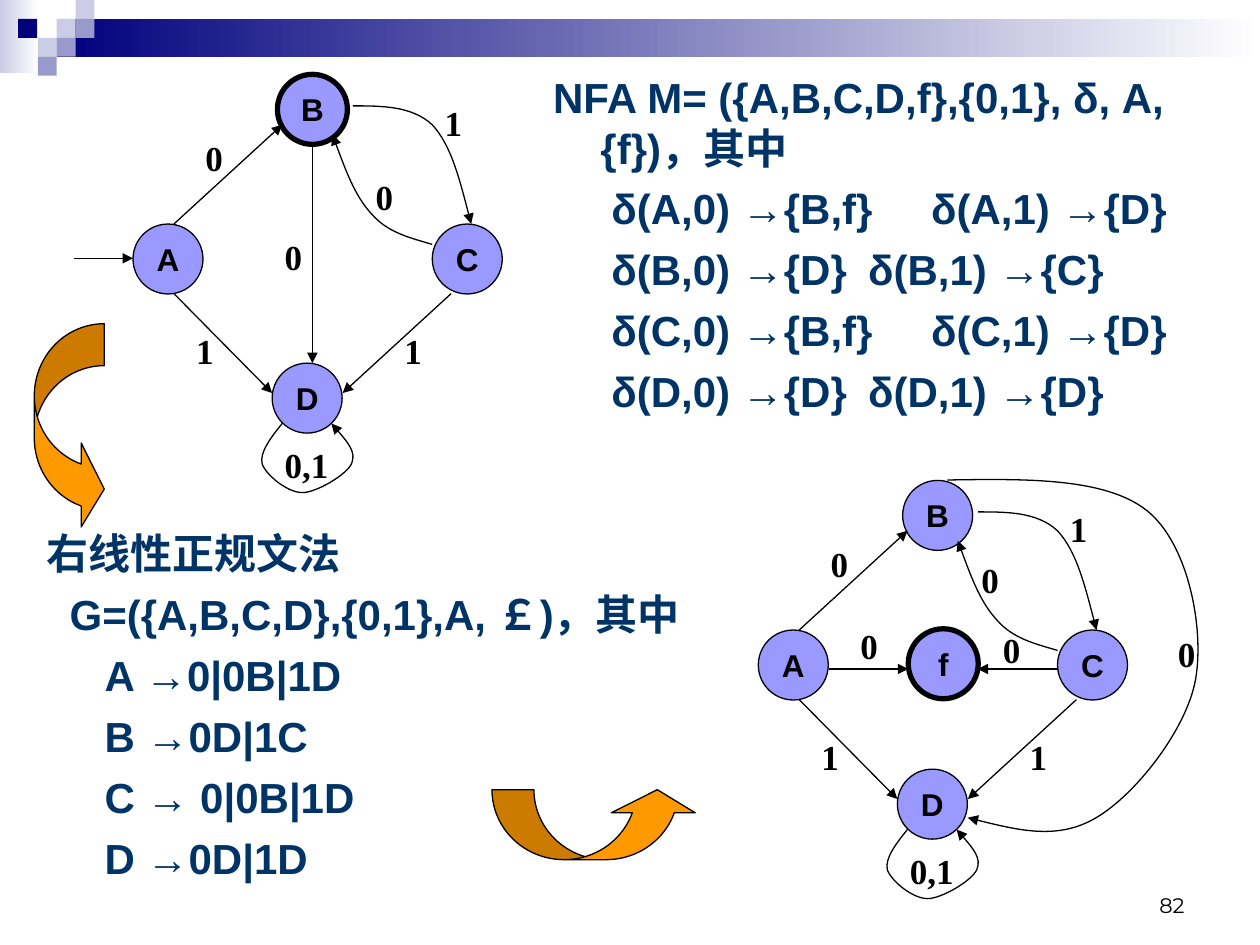
import pptx
import pptx.dml.color
import pptx.enum.shapes
import pptx.enum.text
import pptx.oxml
import pptx.oxml.ns
import pptx.util
from lxml import etree

Pt = pptx.util.Pt
qn = pptx.oxml.ns.qn
Preset = pptx.enum.shapes.MSO_SHAPE
Align = pptx.enum.text.PP_ALIGN
Anchor = pptx.enum.text.MSO_ANCHOR

NODE = 40          # diameter of a state
LABEL = (40, 32)   # size of an edge label


def color(code):
    return pptx.dml.color.RGBColor.from_string(code)


class Painter:
    black, navy, state, arrow = "000000", "003366", "9999FF", "FF9900"

    def __init__(self, page):
        self.page = page
        self.shapes = page.shapes

    def span(self, para, text, size, ink, font="Arial", bold=True):
        span = para.add_run()
        span.text = text
        span.font.size = Pt(size)
        span.font.name = font
        span.font.bold = bold
        span.font.color.rgb = color(ink)

    def shape(self, preset, left, top, width, height, fill, line=None):
        shape = self.shapes.add_shape(preset, Pt(left), Pt(top), Pt(width), Pt(height))
        shape.shadow.inherit = False
        if isinstance(fill, tuple):
            shape.fill.gradient()
            shape.fill.gradient_angle = 0
            for stop, code, place in zip(shape.fill.gradient_stops, fill, (0, 1)):
                stop.color.rgb = color(code)
                stop.position = place
        else:
            shape.fill.solid()
            shape.fill.fore_color.rgb = color(fill)
        if line:
            self.outline(shape, line)
        else:
            shape.line.fill.background()
        return shape

    def outline(self, shape, width=0.75, head=False):
        shape.line.width = Pt(width)
        shape.line.color.rgb = color(self.black)
        if head:
            line = shape.element.spPr.find(qn("a:ln"))
            etree.SubElement(line, qn("a:tailEnd"), type="triangle")

    def node(self, name, left, top, final=False):
        shape = self.shape(Preset.OVAL, left, top, NODE, NODE, self.state, 3 if final else 0.75)
        frame = shape.text_frame
        frame.word_wrap = False
        frame.vertical_anchor = Anchor.MIDDLE
        para = frame.paragraphs[0]
        para.alignment = Align.CENTER
        self.span(para, name, 18, self.black)

    def edge(self, x1, y1, x2, y2):
        line = self.shapes.add_connector(
            pptx.enum.shapes.MSO_CONNECTOR.STRAIGHT, Pt(x1), Pt(y1), Pt(x2), Pt(y2))
        self.outline(line, head=True)
        etree.SubElement(line.element.spPr, qn("a:effectLst"))

    def curve(self, points, dx=0, dy=0):
        """Arrow along Bezier curves: a start, then three points for each curve."""
        start, *rest = [(Pt(x + dx), Pt(y + dy)) for x, y in points]
        builder = self.shapes.build_freeform(*start)
        builder.add_line_segments(rest, close=False)
        shape = builder.convert_to_shape()
        outline = shape.element.spPr.find(".//" + qn("a:path"))
        segments = outline.findall(qn("a:lnTo"))
        for i in range(0, len(segments), 3):
            bend = etree.SubElement(outline, qn("a:cubicBezTo"))
            for segment in segments[i:i + 3]:
                bend.append(segment[0])
                outline.remove(segment)
        shape.shadow.inherit = False
        shape.fill.background()
        self.outline(shape, head=True)

    def box(self, left, top, width, height):
        box = self.shapes.add_textbox(Pt(left), Pt(top), Pt(width), Pt(height))
        box.text_frame.word_wrap = True
        return box.text_frame

    def label(self, text, left, top):
        para = self.box(left, top, *LABEL).paragraphs[0]
        self.span(para, text, 20, self.black, "Times New Roman")

    def lines(self, left, top, width, height, rows):
        """Rows of (text, left margin, first-line indent, tab stop or None)."""
        frame = self.box(left, top, width, height)
        for i, (text, margin, indent, stop) in enumerate(rows):
            para = frame.add_paragraph() if i else frame.paragraphs[0]
            if i:
                para.space_before = Pt(6)
            props = para._p.get_or_add_pPr()
            props.set("marL", str(Pt(margin)))
            props.set("indent", str(Pt(indent)))
            if stop:
                tabs = etree.SubElement(props, qn("a:tabLst"))
                etree.SubElement(tabs, qn("a:tab"), pos=str(Pt(stop)), algn="l")
            self.span(para, text, 24, self.navy)

    def block_arrow(self, left, top, rotation=0):
        shape = self.shape(Preset.CURVED_RIGHT_ARROW, left, top, 40, 118.5, self.arrow, 0.75)
        for i, value in enumerate((0.6, 1.2, 0.33)):
            shape.adjustments[i] = value
        shape.rotation = rotation

    def automaton(self, dx, dy, b_final):
        """The part that both diagrams share, moved by dx, dy."""
        for name, x, y in (("A", 76, 128), ("B", 158.5, 42.5), ("C", 247, 128), ("D", 155.5, 207.5)):
            self.node(name, x + dx, y + dy, b_final and name == "B")
        for x1, y1, x2, y2 in ((99.4, 128, 161.3, 71.3), (99.4, 167.8, 155.5, 224.6),
                               (257.8, 167.8, 195.8, 224.6)):
            self.edge(x1 + dx, y1 + dy, x2 + dx, y2 + dy)
        for points in (D_LOOP, C_TO_B, B_TO_C):
            self.curve(points, dx, dy)
        for text, x, y in (("0", 110.3, 74.3), ("1", 105, 185), ("1", 224, 185),
                           ("1", 247, 54.7), ("0,1", 155.5, 250)):
            self.label(text, x + dx, y + dy)


D_LOOP = [(161.3, 242), (154.8, 250), (148.3, 258.5), (149.8, 265), (152, 271.4),
          (164.2, 281.5), (172.8, 281.5), (180.7, 281.5), (198, 271.4), (200.9, 265),
          (203.8, 258.5), (196.6, 250), (189.4, 242)]
C_TO_B = [(247, 139.7), (234.7, 136), (221.8, 133.2), (212.4, 122.4),
          (203, 112.3), (196.6, 95), (190, 77)]
B_TO_C = [(201.6, 60.5), (218.2, 60.5), (235.4, 60.5), (247, 71.3),
          (257.8, 82.8), (263.5, 105.8), (269.3, 128)]
B_TO_D = [(541.4, 274.3), (586, 273.6), (631.4, 272.9), (655.2, 291.6), (679, 310.3),
          (688.3, 358.6), (683.3, 388), (678.2, 417), (648.7, 454.3), (626.4, 467.3),
          (604.8, 480.2), (578.9, 473.8), (553, 467.3)]


def main():
    deck = pptx.Presentation()
    deck.slide_width, deck.slide_height = Pt(720), Pt(540)
    painter = Painter(deck.slides.add_slide(deck.slide_layouts[6]))

    # Header band and its squares
    painter.shape(Preset.RECTANGLE, 0, 0, 22.3, 41.8, ("CCCCE6", "FFFFFF"))
    painter.shape(Preset.RECTANGLE, 32.4, 10.8, 687.6, 21.6, ("00007D", "FFFFFF"))
    for x, y, fill in ((32.4, 10.8, "CCCCE6"), (43.2, 0, "CCCCE6"), (43.2, 10.8, "9999CC"),
                       (21.6, 21.6, "CCCCE6"), (10.4, 10.8, "00007D"),
                       (32.4, 21.6, "9999CC"), (21.6, 32.4, "9999CC")):
        painter.shape(Preset.RECTANGLE, x, y, 10.8, 10.8, fill)

    # First automaton, with its start arrow and direct edge from B to D
    painter.automaton(0, 0, b_final=True)
    painter.edge(42.5, 147.6, 76, 147.6)
    painter.edge(178.5, 82.8, 178.5, 207.5)
    painter.label("0", 155.5, 131)
    painter.label("0", 207.5, 97)

    # Grammar
    painter.lines(19.4, 298, 414, 215, [
        ("右线性正规文法", 27, -27, None),
        ("G=({A,B,C,D},{0,1},A, ￡)，其中", 27, -13.7, None),
        *[(rule, 0, 33.3, None) for rule in
          ("A →0|0B|1D", "B →0D|1C", "C → 0|0B|1D", "D →0D|1D")]])

    # Second automaton, with the added final state
    painter.automaton(357.3, 232, b_final=False)
    painter.node("f", 519, 359.3, final=True)
    painter.edge(604, 382.3, 558.7, 382.3)
    painter.edge(473.8, 382.3, 519, 382.3)
    painter.curve(B_TO_D)
    for x, y in ((553.7, 315.4), (484.6, 353.5), (566, 355.7), (666, 357.8)):
        painter.label("0", x, y)

    # Transition function
    painter.lines(309, 37.4, 402.5, 215, [
        ("NFA M= ({A,B,C,D,f},{0,1}, δ, A, {f})，其中", 27, -27, None),
        ("δ(A,0) →{B,f}\tδ(A,1) →{D}", 0, 33.3, 196),
        ("δ(B,0) →{D}\tδ(B,1) →{C}", 0, 33.3, 195),
        ("δ(C,0) →{B,f}\tδ(C,1) →{D}", 0, 33.3, 209.5),
        ("δ(D,0) →{D}\tδ(D,1) →{D}", 0, 33.3, 195)])

    # Block arrows between the steps
    painter.block_arrow(19.6, 185)
    painter.block_arrow(320.4, 412, 270)

    # Page number
    frame = painter.box(516, 492, 168, 36)
    frame.vertical_anchor = Anchor.BOTTOM
    frame.paragraphs[0].alignment = Align.RIGHT
    painter.span(frame.paragraphs[0], "82", 12, painter.black, "Montserrat", bold=False)

    deck.save("out.pptx")


if __name__ == "__main__":
    main()
